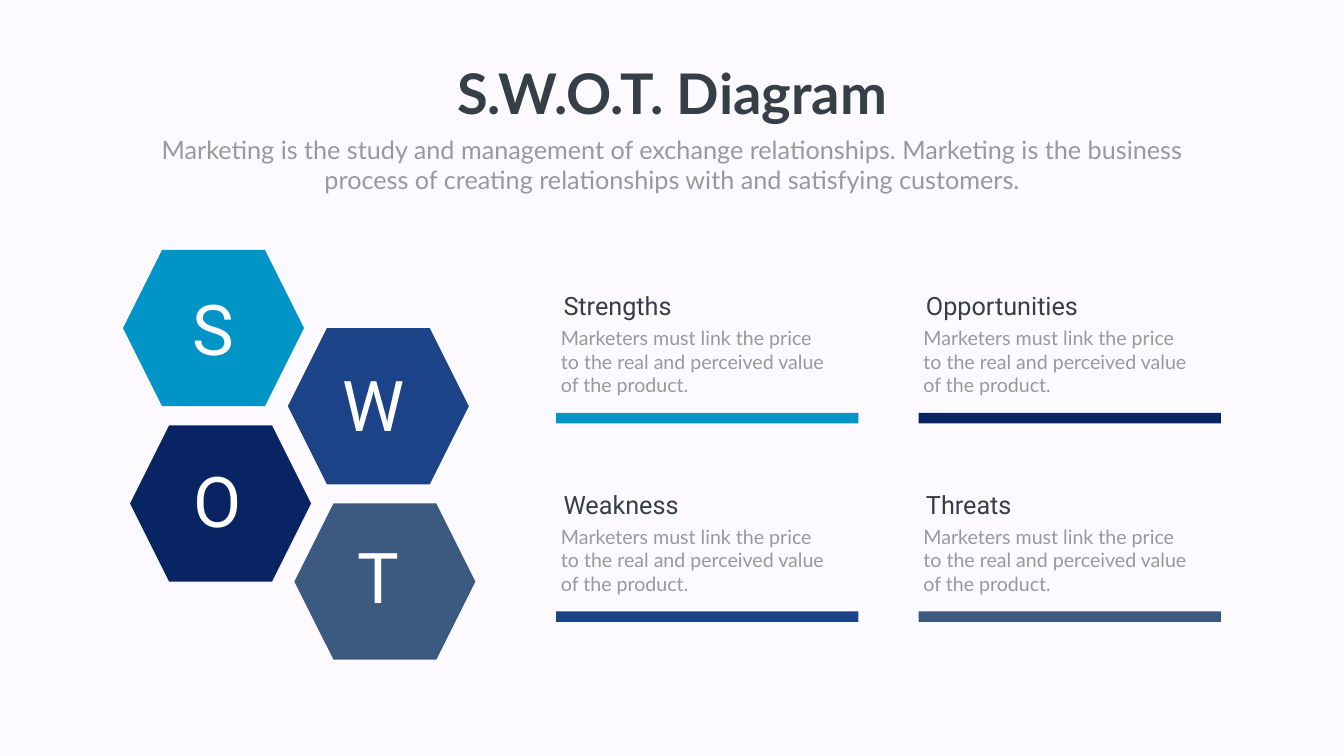
from pptx import Presentation
from pptx.dml.color import RGBColor
from pptx.enum.shapes import MSO_SHAPE
from pptx.enum.text import MSO_ANCHOR, MSO_AUTO_SIZE, PP_ALIGN
from pptx.util import Pt

PX = 9144  # EMU in one px, at 100 px to the inch
SLIDE_SIZE = (2666, 1500)

BACKGROUND, DARK, GREY, WHITE = "FDFAFF", "363E48", "999999", "FFFFFF"

TITLE = "S.W.O.T. Diagram"
SUBTITLE = (
    "Marketing is the study and management of exchange relationships. "
    "Marketing is the business process of creating relationships with "
    "and satisfying customers."
)
DESCRIPTION = "Marketers must link the price to the real and perceived value of the product."

# heading, colour, hexagon corner, letter corner, panel column and row
TOPICS = [
    ("Strengths", "0094C7", (244, 496), (339, 562), (0, 0)),
    ("Weakness", "1C4288", (571, 651), (658, 712), (0, 1)),
    ("Opportunities", "082463", (258, 844), (348, 903), (1, 0)),
    ("Threats", "3C5A80", (584, 999), (667, 1054), (1, 1)),
]
HEXAGON_SIZE = (359, 310)
LETTER_SIZE = (167, 178)
PANEL_ORIGIN = (1103, 572)
PANEL_STEP = (719, 394)


def colour(value):
    return RGBColor.from_string(value)


def emu(*lengths):
    return [length * PX for length in lengths]


def add_filled(slide, kind, box, fill):
    shape = slide.shapes.add_shape(kind, *emu(*box))
    shape.shadow.inherit = False
    shape.fill.solid()
    shape.fill.fore_color.rgb = colour(fill)
    shape.line.fill.background()


def write(shape, text, *, size, font, color, bold=False, align=PP_ALIGN.LEFT, wrap=True):
    frame = shape.text_frame
    frame.word_wrap = wrap
    frame.auto_size = MSO_AUTO_SIZE.NONE
    frame.vertical_anchor = MSO_ANCHOR.TOP
    paragraph = frame.paragraphs[0]
    paragraph.alignment = align
    run = paragraph.add_run()
    run.text = text
    run.font.size = Pt(size)
    run.font.name = font
    run.font.bold = bold
    run.font.color.rgb = colour(color)


def add_text(slide, box, text, **style):
    write(slide.shapes.add_textbox(*emu(*box)), text, **style)


def add_header(slide):
    title = slide.shapes.title
    title.left, title.top, title.width, title.height = emu(880, 112, 907, 145)
    write(title, TITLE, size=80, font="Lato", color=DARK, bold=True,
          align=PP_ALIGN.CENTER, wrap=False)
    add_text(slide, (292, 261, 2082, 131), SUBTITLE, size=36, font="Lato",
             color=GREY, align=PP_ALIGN.CENTER)


def add_panel(slide, heading, fill, column, row):
    left = PANEL_ORIGIN[0] + column * PANEL_STEP[0]
    top = PANEL_ORIGIN[1] + row * PANEL_STEP[1]
    add_filled(slide, MSO_SHAPE.RECTANGLE, (left, top + 247, 600, 21), fill)
    add_text(slide, (left, top + 70, 547, 151), DESCRIPTION,
             size=28, font="Lato", color=GREY)
    add_text(slide, (left + 5, top, 357, 71), heading,
             size=36, font="Roboto", color=DARK)


def main():
    presentation = Presentation()
    presentation.slide_width, presentation.slide_height = emu(*SLIDE_SIZE)
    slide = presentation.slides.add_slide(presentation.slide_layouts[5])
    slide.background.fill.solid()
    slide.background.fill.fore_color.rgb = colour(BACKGROUND)

    add_header(slide)
    for heading, fill, hexagon_corner, letter_corner, cell in TOPICS:
        add_filled(slide, MSO_SHAPE.HEXAGON, hexagon_corner + HEXAGON_SIZE, fill)
        add_text(slide, letter_corner + LETTER_SIZE, heading[0], size=100,
                 font="Roboto", color=WHITE, align=PP_ALIGN.CENTER)
        add_panel(slide, heading, fill, *cell)
    presentation.save("out.pptx")


if __name__ == "__main__":
    main()
